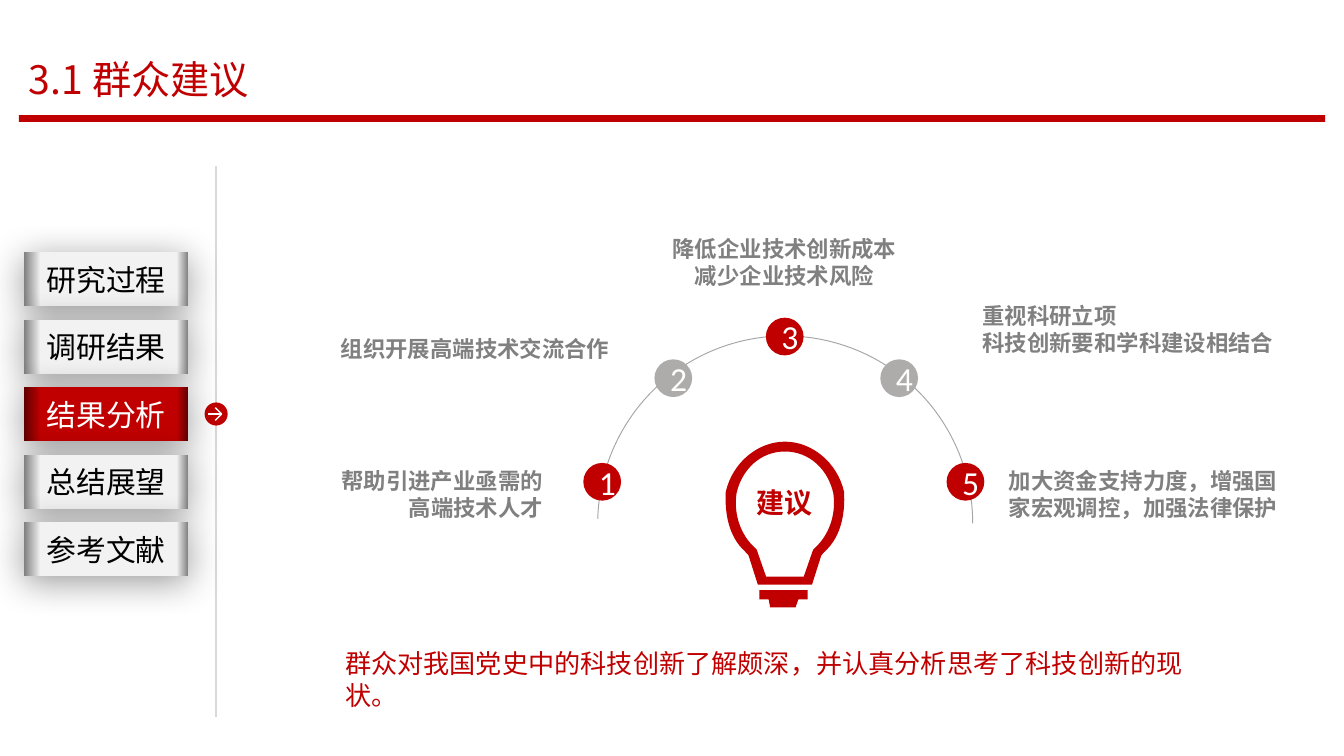
from lxml import etree
from pptx import Presentation
from pptx.dml.color import RGBColor
from pptx.enum import shapes, text
from pptx.oxml import ns, parse_xml
from pptx.util import Pt

RED, GREY, WHITE = "C00000", "808080", "FFFFFF"
CJK = "Noto Sans CJK SC"
LEFT, CENTER, RIGHT = text.PP_ALIGN.LEFT, text.PP_ALIGN.CENTER, text.PP_ALIGN.RIGHT
OVAL, RECT = shapes.MSO_SHAPE.OVAL, shapes.MSO_SHAPE.RECTANGLE


def color(value):
    return RGBColor.from_string(value)


def write(box, lines, size, ink, align=LEFT, bold=False, face=CJK, inset=(7.2, 3.6)):
    frame = box.text_frame
    frame.word_wrap = True
    frame.margin_left = frame.margin_right = Pt(inset[0])
    frame.margin_top = frame.margin_bottom = Pt(inset[1])
    frame.text = lines
    for para in frame.paragraphs:
        para.alignment = align
        para.font.size = Pt(size)
        para.font.bold = bold
        para.font.name = face
        para.font.color.rgb = color(ink)
    for latin in list(box._element.iter(ns.qn("a:latin"))):
        east = etree.Element(ns.qn("a:ea"))
        east.set("typeface", face)
        latin.addnext(east)


deck = Presentation()
deck.slide_width, deck.slide_height = Pt(720), Pt(405)
page = deck.slides.add_slide(deck.slide_layouts[6])

arc = page.shapes.add_shape(shapes.MSO_SHAPE.ARC, Pt(320.2), Pt(180), Pt(200.9), Pt(200.9))
arc.adjustments[0], arc.adjustments[1] = 108.851, 0
arc.shadow.inherit = False
arc.fill.background()
arc.line.color.rgb = color("A6A6A6")
arc.line.width = Pt(0.5)

dots = [(312.5, 248), (350.6, 192.5), (410.3, 170.2), (471.6, 192.5), (507.1, 248)]
solids = [(OVAL, left, top, 20.2, 20.2, RED if number % 2 else "AEABAB", str(number))
          for number, (left, top) in enumerate(dots, 1)]
solids += [(RECT, 10.1, 61.7, 699.8, 3.6, RED, ""),
           (OVAL, 109.6, 215.6, 12.4, 12.4, RED, "")]

divider = page.shapes.add_connector(
    shapes.MSO_CONNECTOR.STRAIGHT, Pt(115.7), Pt(89.2), Pt(115.7), Pt(384))
for kind, left, top, width, height, fill, label in solids:
    solid = page.shapes.add_shape(kind, Pt(left), Pt(top), Pt(width), Pt(height))
    solid.shadow.inherit = False
    solid.fill.solid()
    solid.fill.fore_color.rgb = color(fill)
    solid.line.fill.background()
    if label:
        solid.text_frame.vertical_anchor = text.MSO_ANCHOR.MIDDLE
        write(solid, label, 18, WHITE, CENTER, face="Calibri", inset=(5.4, 2.7))

strokes = [(divider, "D9D9D9")]
for x1, y1, x2, y2 in [(111.6, 221.8, 118.7, 221.8), (115.3, 225.2, 118.7, 221.8),
                       (118.7, 221.8, 115.3, 218.4)]:
    stroke = page.shapes.add_connector(
        shapes.MSO_CONNECTOR.STRAIGHT, Pt(x1), Pt(y1), Pt(x2), Pt(y2))
    strokes.append((stroke, WHITE))
for stroke, ink in strokes:
    stroke.line.color.rgb = color(ink)
    stroke.line.width = Pt(0.75)
    etree.SubElement(stroke._element.spPr, ns.qn("a:effectLst"))

base = [(406.8, 316.1), (432.7, 316.1), (432.7, 321.1), (427.7, 321.1),
        (426.2, 325.4), (412.6, 325.4), (411.8, 321.1), (406.8, 321.1)]
halves = [
    [(14.5, 313.2), (19.5, 297.5), (21.6, 295.2), (30.2, 287.3), (32.3, 275),
     (31.7, 263.5), (28.1, 247.7), (14.4, 236.6), (0, 236.6)],
    [(10.1, 308.9), (15.1, 294.5), (18, 291.6), (24.5, 284.4), (27.4, 274.3),
     (25.9, 264.2), (23, 251.3), (13, 241.9), (0, 241.9)],
]
builder = page.shapes.build_freeform(Pt(base[0][0]), Pt(base[0][1]), scale=1.0)
builder.add_line_segments([(Pt(x), Pt(y)) for x, y in base[1:]], close=True)
for half in halves:
    left_side = [(420.5 - x, y) for x, y in half]
    right_side = [(420.5 + x, y) for x, y in half[-2::-1]]
    outline = [(Pt(x), Pt(y)) for x, y in left_side + right_side]
    builder.move_to(*outline[0])
    builder.add_line_segments(outline[1:], close=True)
bulb = builder.convert_to_shape()
bulb.shadow.inherit = False
bulb.fill.solid()
bulb.fill.fore_color.rgb = color(RED)
bulb.line.fill.background()
segments = list(bulb._element.iter(ns.qn("a:lnTo")))
for first in [9, 12, 15, 18, 25, 28, 31, 34]:
    curve = etree.Element(ns.qn("a:cubicBezTo"))
    segments[first].addprevious(curve)
    for segment in segments[first:first + 3]:
        curve.append(segment[0])
        segment.getparent().remove(segment)

small = (5.4, 2.7)
normal = (7.2, 3.6)
texts = [
    (168.1, 247.7, 128.2, 34.6, "帮助引进产业亟需的高端技术人才", 12, GREY, RIGHT, True, small),
    (171.4, 176.7, 160.6, 20.2, "组织开展高端技术交流合作", 12, GREY, RIGHT, True, small),
    (342.9, 123.1, 154.8, 34.6, "降低企业技术创新成本\n减少企业技术风险", 12, GREY, CENTER, True, small),
    (520.9, 159.1, 173.5, 34.6, "重视科研立项\n科技创新要和学科建设相结合", 12, GREY, LEFT, True, small),
    (535, 247.7, 166.3, 34.6, "加大资金支持力度，增强国家宏观调控，加强法律保护", 12, GREY, LEFT, True, small),
    (388.1, 256.8, 64.1, 25.2, "建议", 15, RED, CENTER, True, normal),
    (177.8, 343.4, 474, 24.5, "群众对我国党史中的科技创新了解颇深，并认真分析思考了科技创新的现状。",
     14, RED, LEFT, False, normal),
    (8.4, 26.3, 277.2, 32.4, "3.1 群众建议", 21, RED, LEFT, False, normal),
]
for left, top, width, height, words, size, ink, align, bold, inset in texts:
    box = page.shapes.add_textbox(Pt(left), Pt(top), Pt(width), Pt(height))
    write(box, words, size, ink, align, bold, inset=inset)

for row, label in enumerate(["研究过程", "调研结果", "结果分析", "总结展望", "参考文献"]):
    active = label == "结果分析"
    edge, middle = ("600000", RED) if active else (GREY, "F2F2F2")
    tab = page.shapes.add_shape(RECT, Pt(13), Pt(135.1 + 36.15 * row), Pt(87.8), Pt(29))
    tab.line.fill.background()
    tab.text_frame.vertical_anchor = text.MSO_ANCHOR.MIDDLE
    write(tab, label, 16, WHITE if active else "000000", CENTER)
    stops = "".join(
        f'<a:gs pos="{place * 1000}"><a:srgbClr val="{shade}"/></a:gs>'
        for place, shade in [(0, edge), (7, middle), (90, middle), (100, edge)])
    properties = tab._element.spPr
    properties.find(ns.qn("a:prstGeom")).addnext(parse_xml(
        f'<a:gradFill {ns.nsdecls("a")} rotWithShape="1"><a:gsLst>{stops}</a:gsLst>'
        '<a:lin ang="10800000" scaled="0"/></a:gradFill>'))
    properties.append(parse_xml(
        f'<a:effectLst {ns.nsdecls("a")}><a:outerShdw blurRad="{Pt(20)}" dist="{Pt(3)}" '
        'dir="5400000" algn="t" rotWithShape="0"><a:srgbClr val="000000">'
        '<a:alpha val="40000"/></a:srgbClr></a:outerShdw></a:effectLst>'))

deck.save("out.pptx")
